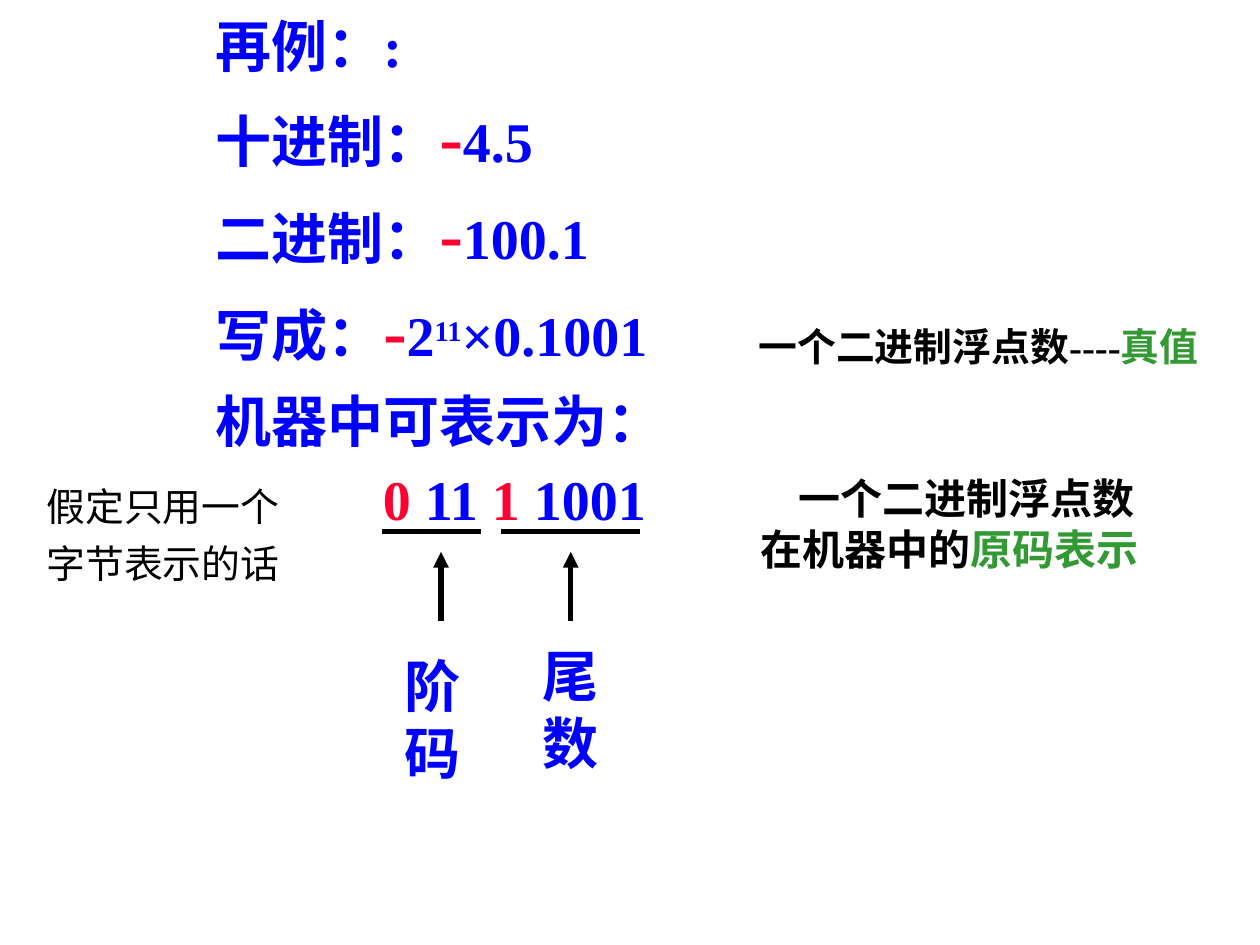
from lxml import etree
from pptx import Presentation, util as u
from pptx.dml.color import RGBColor
from pptx.enum import shapes, text
from pptx.oxml.ns import qn

BLUE = RGBColor(0x00, 0x00, 0xFF)
RED = RGBColor(0xFF, 0x00, 0x33)
GREEN = RGBColor(0x33, 0x99, 0x33)
BLACK = RGBColor(0x00, 0x00, 0x00)
WHITE = RGBColor(0xFF, 0xFF, 0xFF)
LATIN, CJK = "Times New Roman", "Noto Sans CJK SC"
WIDTH, HEIGHT = u.Inches(10), u.Inches(7.5)


def across(percent):
    return round(WIDTH * percent / 100)


def down(percent):
    return round(HEIGHT * percent / 100)


def area(left, top, width, height):
    return across(left), down(top), across(width), down(height)


def panel(slide, *place):
    box = slide.shapes.add_shape(shapes.MSO_SHAPE.RECTANGLE, *area(*place))
    box.shadow.inherit = False
    box.fill.background()
    box.line.color.rgb = WHITE
    box.line.width = u.Pt(0.75)
    return box


def write(box, lines, size, heights, color=BLACK, bold=True, before=6,
          indents=None, wrap=True):
    frame = box.text_frame
    frame.word_wrap = wrap
    frame.vertical_anchor = text.MSO_ANCHOR.TOP
    frame.margin_top, frame.margin_bottom = u.Inches(0.08), u.Inches(0.02)
    for row, runs in enumerate(lines):
        line = frame.paragraphs[0] if row == 0 else frame.add_paragraph()
        line.alignment = text.PP_ALIGN.LEFT
        line.line_spacing = u.Pt(heights[row])
        line.space_before = u.Pt(before if row else 0)
        if indents:
            line._p.get_or_add_pPr().set("marL", str(across(indents[row])))
        for words, *style in runs:
            tint, points, raised = (style + [None] * 3)[:3]
            run = line.add_run()
            run.text = words
            run.font.size = u.Pt(points or size)
            run.font.bold = bold
            run.font.name = LATIN
            run.font.color.rgb = tint or color
            props = run._r.get_or_add_rPr()
            props.find(qn("a:latin")).addnext(
                etree.Element(qn("a:ea"), typeface=CJK))
            if raised:
                props.set("baseline", str(raised * 1000))


def stroke(slide, start, end, arrow=False):
    link = slide.shapes.add_connector(
        shapes.MSO_CONNECTOR.STRAIGHT, across(start[0]), down(start[1]),
        across(end[0]), down(end[1]))
    link.line.color.rgb = BLACK
    link.line.width = u.Pt(3)
    if arrow:
        etree.SubElement(link.line._get_or_add_ln(), qn("a:headEnd"),
                         type="triangle")
    etree.SubElement(link._element.spPr, qn("a:effectLst"))


def add_example(slide):
    minus = ("-", RED, 40)
    write(panel(slide, 16.1, 0, 50.2, 59.87), [
        [("再例：",), (":",)],
        [("十进制：",), minus, ("4.5",)],
        [("二进制：",), minus, ("100.1",)],
        [("写成：",), minus, ("2",), ("11", BLUE, 28, 30), ("×0.1001",)],
        [("机器中可表示为：",)],
        [("0 ", RED), ("11 ",), ("1 ", RED), ("1001",)],
    ], 32, [39.5, 47.5, 47.5, 47.5, 39.5, 36.5], color=BLUE, before=8,
        indents=[0, 0, 0, 0, 0, 13.3])


def add_field(slide, name, left, right, arrow_x, label_x, label_y):
    stroke(slide, (left, 56.27), (right, 56.27))
    stroke(slide, (arrow_x, 58.4), (arrow_x, 65.73), arrow=True)
    label = slide.shapes.add_textbox(*area(label_x, label_y, 6.4, 15.6))
    write(label, [[(letter,)] for letter in name], 32, [38.5] * 2,
          color=BLUE, before=0, wrap=False)


def add_remarks(slide):
    write(panel(slide, 57.9, 34.27, 42.1, 6.27),
          [[("一个二进制浮点数----",), ("真值", GREEN)]],
          22.2, [20.2], indents=[1.3])
    write(panel(slide, 59.4, 50, 34.3, 11.6),
          [[("一个二进制浮点数",)], [("在机器中的",), ("原码表示", GREEN)]],
          24, [23.1] * 2, indents=[3, 0])
    write(panel(slide, 2.7, 50, 25.2, 12.67),
          [[("假定只用一个",)], [("字节表示的话",)]],
          22.2, [26.6] * 2, bold=False)


def main():
    deck = Presentation()
    deck.slide_width, deck.slide_height = WIDTH, HEIGHT
    slide = deck.slides.add_slide(deck.slide_layouts[6])
    add_example(slide)
    add_field(slide, "阶码", 30.3, 38.2, 35, 31.1, 67.87)
    add_field(slide, "尾数", 39.8, 50.8, 45.3, 42.1, 66.8)
    add_remarks(slide)
    deck.save("out.pptx")


if __name__ == "__main__":
    main()
